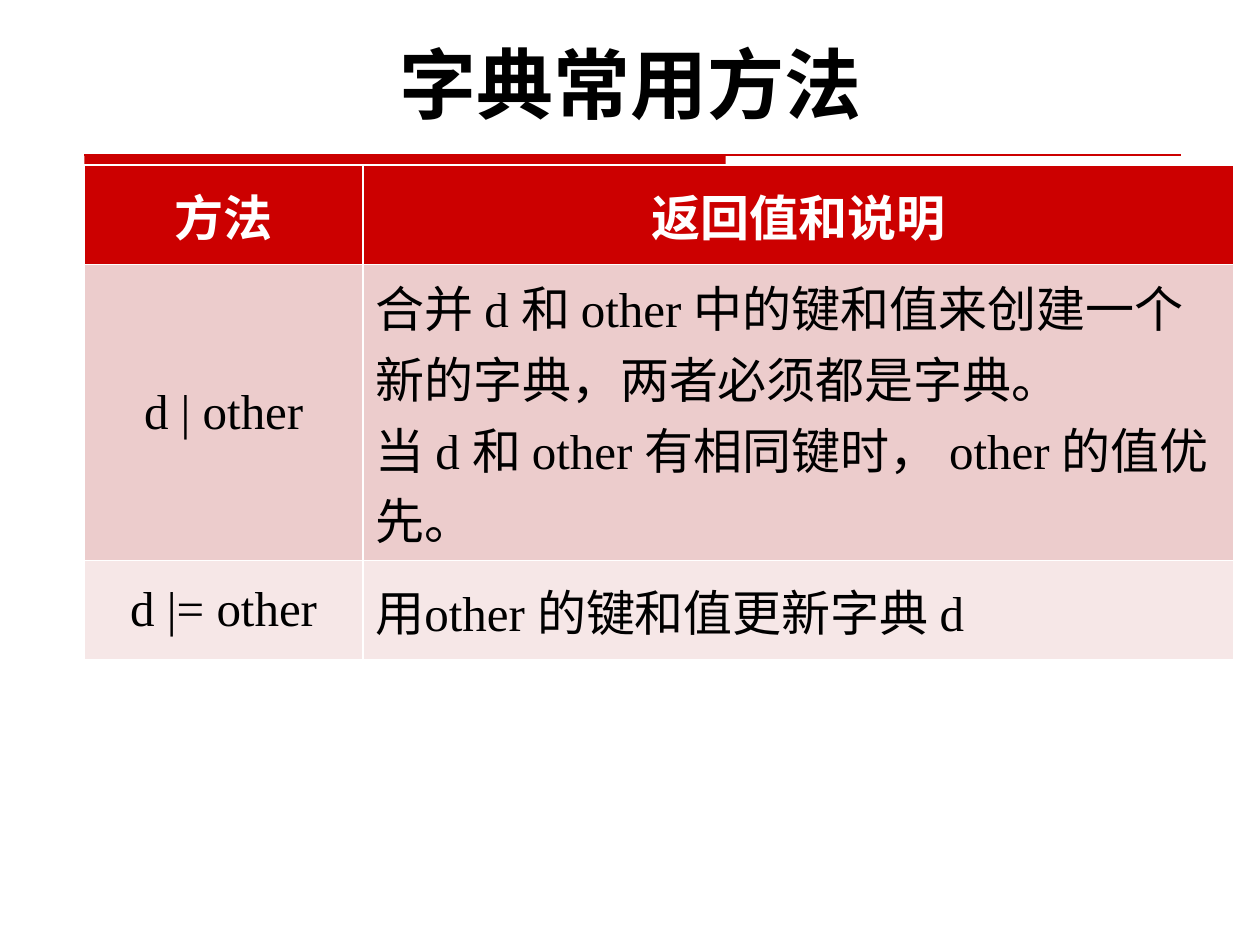
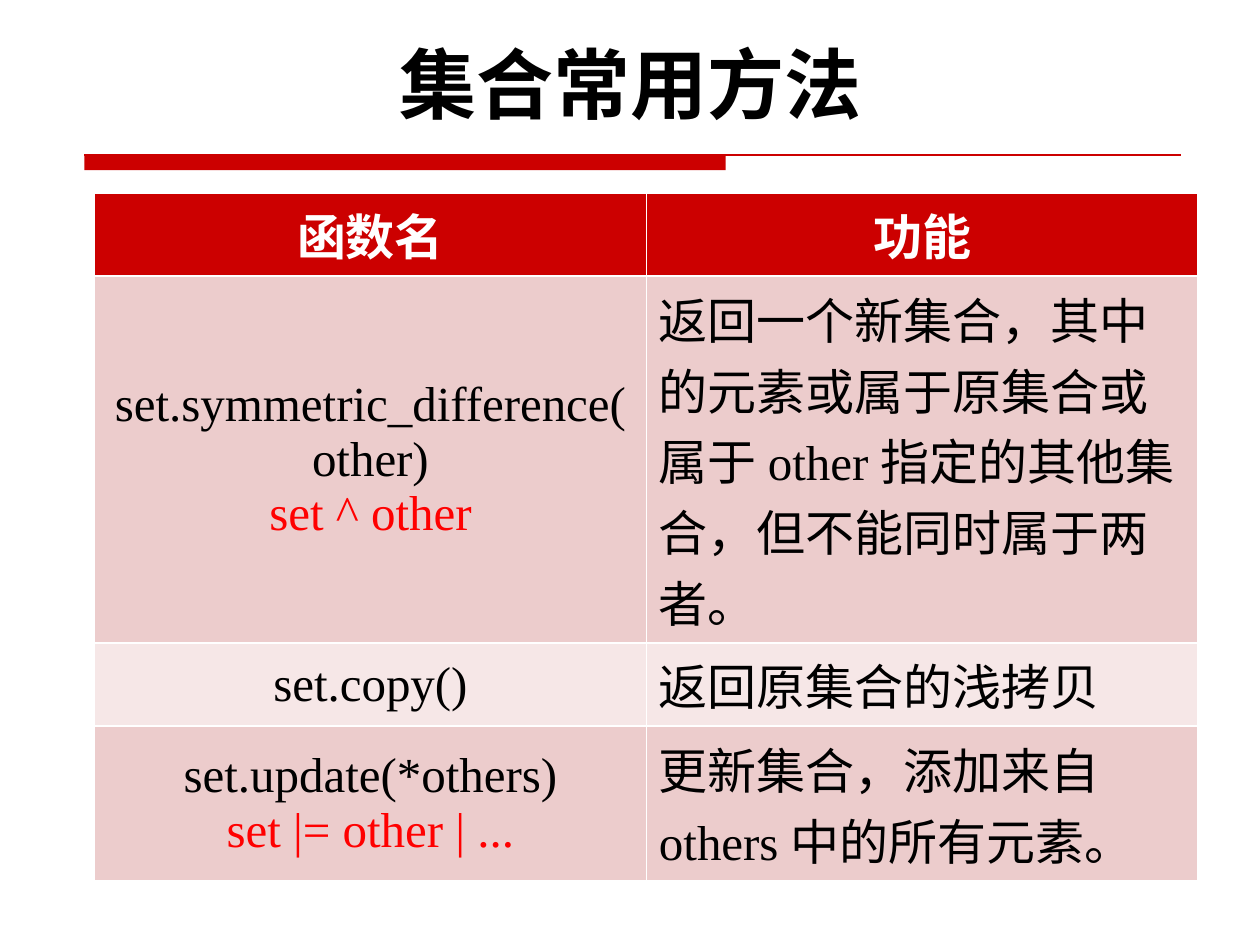
import pptx
import pptx.dml.color
import pptx.enum.shapes
import pptx.enum.text
import pptx.oxml.ns
import pptx.util
from lxml import etree

COLORS = {
    "red": "CC0000", "band_dark": "ECCCCC", "band_light": "F6E7E7",
    "white": "FFFFFF", "black": "000000", "operator": "FF0000",
}
WIDTH, HEIGHT = 10, 7.5
RULE_LEFT, RULE_TOP, RULE_WIDTH = 0.67, 1.23, 8.7
TITLE_FORMAT = {"name": "Cabin", "size": pptx.util.Pt(44), "bold": True}
CELL_FORMAT = {"name": "Times New Roman", "size": pptx.util.Pt(28), "italic": False}
ALIGN = pptx.enum.text.PP_ALIGN
ANCHOR = pptx.enum.text.MSO_ANCHOR
NO_BREAK_SPACE = chr(160)

# A cell is a list of (text, colour name) paragraphs; ~ stands for a no-break space.
DICT_ROWS = [
    [[("方法", "white")], [("返回值和说明", "white")]],
    [[("d | other", "black")],
     [("合并~d~和~other~中的键和值来创建一个新的字典，两者必须都是字典。"
       "当~d~和~other~有相同键时，~other~的值优先。", "black")]],
    [[("d |= other", "black")], [("用other~的键和值更新字典~d~", "black")]],
]
SET_ROWS = [
    [[("函数名", "white")], [("功能", "white")]],
    [[("set.symmetric_difference(other)", "black"), ("set ^ other", "operator")],
     [("返回一个新集合，其中的元素或属于原集合或属于~other~指定的其他集合，"
       "但不能同时属于两者。", "black")]],
    [[("set.copy()", "black")], [("返回原集合的浅拷贝", "black")]],
    [[("set.update(*others)", "black"), ("set |= other | ...", "operator")],
     [("更新集合，添加来自 others 中的所有元素。", "black")]],
]


def inches(*lengths):
    return [pptx.util.Inches(length) for length in lengths]


def rgb(name):
    return pptx.dml.color.RGBColor.from_string(COLORS[name])


def format_text(font, values, color):
    for key, value in values.items():
        setattr(font, key, value)
    font.color.rgb = rgb(color)


def add_title(slide, text):
    title = slide.shapes.title
    title.left, title.top, title.width, title.height = inches(
        0.63, 0.33, WIDTH * 7 / 8, 0.74)
    frame = title.text_frame
    frame.text = text
    frame.auto_size = pptx.enum.text.MSO_AUTO_SIZE.NONE
    frame.vertical_anchor = ANCHOR.BOTTOM
    para = frame.paragraphs[0]
    para.alignment = ALIGN.CENTER
    format_text(para.runs[0].font, TITLE_FORMAT, "black")


def add_title_rule(slide):
    """Thick bar under the title, continued by a thin line."""
    bar = slide.shapes.add_shape(
        pptx.enum.shapes.MSO_SHAPE.RECTANGLE,
        *inches(RULE_LEFT, RULE_TOP, RULE_WIDTH * 0.585, 0.12))
    bar.shadow.inherit = False
    bar.fill.solid()
    bar.fill.fore_color.rgb = rgb("red")
    bar.line.fill.background()
    line = slide.shapes.add_connector(
        pptx.enum.shapes.MSO_CONNECTOR.STRAIGHT,
        *inches(RULE_LEFT, RULE_TOP, RULE_LEFT + RULE_WIDTH, RULE_TOP))
    line.line.color.rgb = rgb("red")
    line.line.width = pptx.util.Pt(0.75)
    etree.SubElement(line._element.spPr, pptx.oxml.ns.qn("a:effectLst"))


def fill_cell(cell, paragraphs, row, column):
    is_header = row == 0
    cell.fill.solid()
    cell.fill.fore_color.rgb = rgb(
        "red" if is_header else "band_dark" if row % 2 else "band_light")
    cell.vertical_anchor = ANCHOR.MIDDLE
    frame = cell.text_frame
    for index, (text, color) in enumerate(paragraphs):
        para = frame.add_paragraph() if index else frame.paragraphs[0]
        para.alignment = ALIGN.CENTER if is_header or column == 0 else ALIGN.LEFT
        span = para.add_run()
        span.text = text.replace("~", NO_BREAK_SPACE)
        format_text(span.font, CELL_FORMAT | {"bold": is_header}, color)


def add_method_table(slide, rows, left, top, column_widths, row_height):
    """Rows grow with their text; the default table style draws the white borders."""
    table = slide.shapes.add_table(
        len(rows), len(column_widths),
        *inches(left, top, sum(column_widths), row_height * len(rows))).table
    for column, width in zip(table.columns, column_widths):
        column.width = pptx.util.Inches(width)
    for row, cells in enumerate(rows):
        for column, paragraphs in enumerate(cells):
            fill_cell(table.cell(row, column), paragraphs, row, column)


def add_method_slide(deck, title, rows, **grid):
    slide = deck.slides.add_slide(deck.slide_layouts.get_by_name("Title Only"))
    add_title(slide, title)
    add_title_rule(slide)
    add_method_table(slide, rows, **grid)


def main():
    deck = pptx.Presentation()
    deck.slide_width, deck.slide_height = inches(WIDTH, HEIGHT)
    add_method_slide(deck, "字典常用方法", DICT_ROWS, left=RULE_LEFT, top=1.31,
                     column_widths=(2.21, 6.91), row_height=0.79)
    add_method_slide(deck, "集合常用方法", SET_ROWS, left=0.75, top=1.53,
                     column_widths=(4.38, 4.38), row_height=0.41)
    deck.save("out.pptx")


if __name__ == "__main__":
    main()
